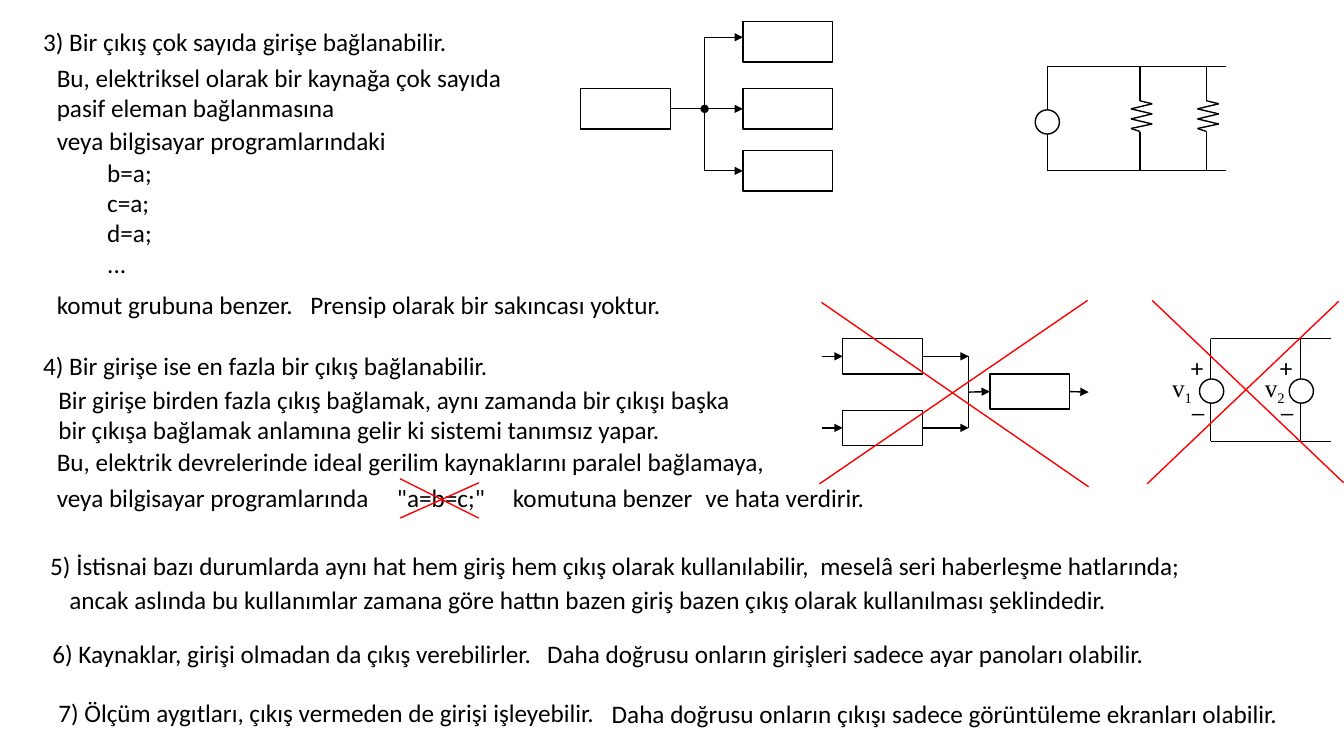
"""Build a slide on the rules for connecting block inputs and outputs."""
import dataclasses

import lxml.etree
import pptx
import pptx.dml.color
import pptx.enum.shapes
import pptx.enum.text
import pptx.oxml.ns
import pptx.util


@dataclasses.dataclass(frozen=True)
class Theme:
    ink: str = "000000"
    paper: str = "FFFFFF"
    cross: str = "FF0000"
    face: str = "Calibri"
    symbol_face: str = "Times New Roman"
    size: int = 18
    stroke: float = 1
    thin_stroke: float = 0.5


theme = Theme()
cell = pptx.util.Inches(0.1)
qn = pptx.oxml.ns.qn
deck = pptx.Presentation()
deck.slide_width = int(133.33 * cell)
deck.slide_height = 75 * cell
page = deck.slides.add_slide(deck.slide_layouts[6])


def write(left, top, width, height, text, wrap=True, face=theme.face, subscript="", tabs=()):
    box = page.shapes.add_textbox(*(int(n * cell) for n in (left, top, width, height)))
    frame = box.text_frame
    frame.word_wrap = wrap
    frame.auto_size = pptx.enum.text.MSO_AUTO_SIZE.SHAPE_TO_FIT_TEXT
    frame.text = text
    if subscript:
        span = frame.paragraphs[0].add_run()
        span.text = subscript
        span.font._element.set("baseline", "-25000")
    for para in frame.paragraphs:
        if tabs:
            stops = lxml.etree.SubElement(para._p.get_or_add_pPr(), qn("a:tabLst"))
            for stop in tabs:
                lxml.etree.SubElement(stops, qn("a:tab"), pos=str(int(stop * cell)), algn="l")
        para.font.name = face
        para.font.size = pptx.util.Pt(theme.size)
        para.font.color.rgb = pptx.dml.color.RGBColor.from_string(theme.ink)


def wire(start, end, tip=None, colour=theme.ink, stroke=theme.stroke, leaves=None, enters=None):
    line = page.shapes.add_connector(
        pptx.enum.shapes.MSO_CONNECTOR.STRAIGHT, *(int(n * cell) for n in (*start, *end)))
    if leaves:
        line.begin_connect(leaves, 3)
    if enters:
        line.end_connect(enters, 1)
    line.line.color.rgb = pptx.dml.color.RGBColor.from_string(colour)
    line.line.width = pptx.util.Pt(stroke)
    if tip:
        lxml.etree.SubElement(line.line._get_or_add_ln(), qn("a:tailEnd"), type=tip)
    lxml.etree.SubElement(line._element.spPr, qn("a:effectLst"))


rectangle = pptx.enum.shapes.MSO_SHAPE.RECTANGLE
oval = pptx.enum.shapes.MSO_SHAPE.OVAL
outlines = {
    "source": (rectangle, 57.6, 8.8, 8.9, 4),
    "upper target": (rectangle, 73.7, 2.15, 8.9, 4),
    "middle target": (rectangle, 73.7, 8.8, 8.9, 4),
    "lower target": (rectangle, 73.7, 14.95, 8.9, 4),
    "sink": (rectangle, 98.2, 37.1, 7.9, 3.5),
    "upper feeder": (rectangle, 83.6, 33.6, 7.9, 3.5),
    "lower feeder": (rectangle, 83.6, 40.7, 7.9, 3.5),
    "supply": (oval, 102.7, 10.9, 2.4, 2.4),
    "supply 1": (oval, 119, 37.6, 2.4, 2.4),
    "supply 2": (oval, 127.9, 37.6, 2.4, 2.4),
}
blocks = {}
for name, (kind, *place) in outlines.items():
    block = page.shapes.add_shape(kind, *(int(n * cell) for n in place))
    block.shadow.inherit = False
    block.line.color.rgb = pptx.dml.color.RGBColor.from_string(theme.ink)
    block.line.width = pptx.util.Pt(theme.stroke)
    if kind == oval:
        block.fill.solid()
        block.fill.fore_color.rgb = pptx.dml.color.RGBColor.from_string(theme.paper)
    else:
        block.fill.background()
    blocks[name] = block

node = (69.9, 10.8)
wire((66.5, 10.8), (73.7, 10.8), "triangle", stroke=theme.thin_stroke,
     leaves=blocks["source"], enters=blocks["middle target"])
wire((69.9, 3.7), (73.7, 3.7), "triangle", stroke=theme.thin_stroke)
wire((69.9, 16.95), (73.7, 16.95), "triangle", stroke=theme.thin_stroke,
     enters=blocks["lower target"])
wire((69.9, 3.7), node, "oval")
wire((69.9, 16.95), node)

for name, level in (("upper feeder", 35.35), ("lower feeder", 42.45)):
    wire((81.5, level), (83.6, level), "triangle", enters=blocks[name])
    wire((91.5, level), (96.1, level), "triangle", leaves=blocks[name])
wire((96.1, 35.35), (96.1, 42.45))
wire((96.1, 38.9), (98.2, 38.85), "triangle", enters=blocks["sink"])
wire((106.1, 38.85), (108, 38.9), "triangle", leaves=blocks["sink"])

for x, top, bottom, circle_top in (
        (103.9, 6.6, 16.9, 10.9), (120.1, 33.6, 43.8, 37.6), (129, 33.6, 43.8, 37.6)):
    wire((x, top), (x, circle_top))
    wire((x, circle_top + 2.4), (x, bottom))
for left, right, levels in ((103.9, 121.6, (6.6, 16.9)), (120.1, 132, (33.6, 43.8))):
    for level in levels:
        wire((left, level), (right, level))

zigzag = [(0, 6.6), (0, 10), (1.2, 10.3), (-0.9, 10.8), (1.2, 11.3), (-0.9, 11.8),
          (1.2, 12.3), (-0.9, 12.75), (0, 13.05), (0, 16.9)]
for axis in (113.1, 119.7):
    for (x1, y1), (x2, y2) in zip(zigzag, zigzag[1:]):
        wire((axis + x1, y1), (axis + x2, y2))

for number, left in (("1", 115.3), ("2", 124.5)):
    write(left, 36.45, 4.4, 4, "v", face=theme.symbol_face, subscript=number)
for left in (117.25, 126.1):
    write(left, 37.9, 2.4, 4, "_")
    write(left - 0.1, 34.5, 2.4, 4, "+")

texts = [
    (3.3, 2.1, 43.1, 4, "3) Bir çıkış çok sayıda girişe bağlanabilir.", False),
    (4.65, 5.7, 47.4, 7.1,
     "Bu, elektriksel olarak bir kaynağa çok sayıda pasif eleman bağlanmasına"),
    (4.65, 11.9, 35, 4, "veya bilgisayar programlarındaki", False),
    (9.65, 15.1, 10.1, 13.1, "b=a;\nc=a;\nd=a;\n..."),
    (4.65, 28.2, 25.7, 4, "komut grubuna benzer.", False),
    (29.8, 28.2, 37.1, 4, "Prensip olarak bir sakıncası yoktur.", False),
    (3.3, 34.25, 46.6, 4, "4) Bir girişe ise en fazla bir çıkış bağlanabilir.", False),
    (4.8, 37.6, 68.9, 7.1, "Bir girişe birden fazla çıkış bağlamak, aynı zamanda bir çıkışı başka "
     "bir çıkışa bağlamak anlamına gelir ki sistemi tanımsız yapar."),
    (4.65, 43.8, 75.3, 4,
     "Bu, elektrik devrelerinde ideal gerilim kaynaklarını paralel bağlamaya,"),
    (69, 47.4, 17.9, 4, "ve hata verdirir.", False),
    (4, 54.1, 78.6, 4,
     "5) İstisnai bazı durumlarda aynı hat hem giriş hem çıkış olarak kullanılabilir,"),
    (80.4, 54.1, 38, 4, "meselâ seri haberleşme hatlarında;", False),
    (5.9, 57.45, 113.7, 4, "ancak aslında bu kullanımlar zamana göre hattın bazen giriş "
     "bazen çıkış olarak kullanılması şeklindedir."),
    (4.2, 62.8, 50.1, 4, "6) Kaynaklar, girişi olmadan da çıkış verebilirler.", False),
    (53.3, 62.8, 61.9, 4,
     "Daha doğrusu onların girişleri sadece ayar panoları olabilir.", False),
    (4.8, 68.7, 55.8, 4, "7) Ölçüm aygıtları, çıkış vermeden de girişi işleyebilir.", False),
    (59.7, 68.8, 73.5, 4, "Daha doğrusu onların çıkışı sadece görüntüleme ekranları olabilir."),
]
for entry in texts:
    write(*entry)
write(4.65, 47.4, 65.4, 4, 'veya bilgisayar programlarında\t"a=b=c;"\tkomutuna benzer',
      tabs=(33.75, 45.25))

crosses = [
    ((81.5, 30), (108, 48.3)), ((107.9, 29.8), (81.3, 48)),
    ((114.3, 29.8), (133.3, 47.9)), ((132.8, 29.9), (113.8, 48)),
    ((39.7, 51.4), (47.5, 47.9)), ((47.5, 51.4), (39.7, 47.5)),
]
for start, end in crosses:
    wire(start, end, colour=theme.cross)

deck.save("out.pptx")
